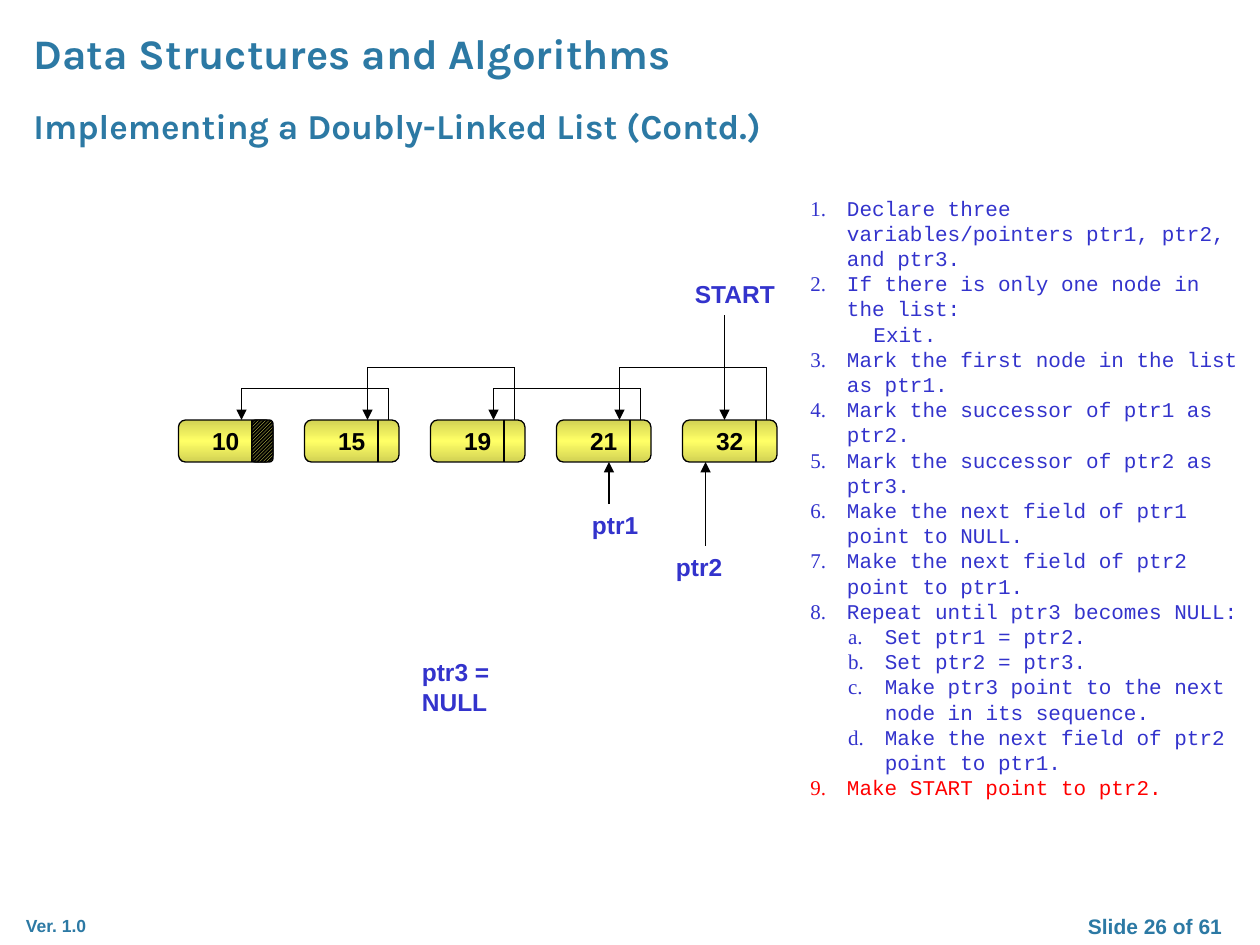
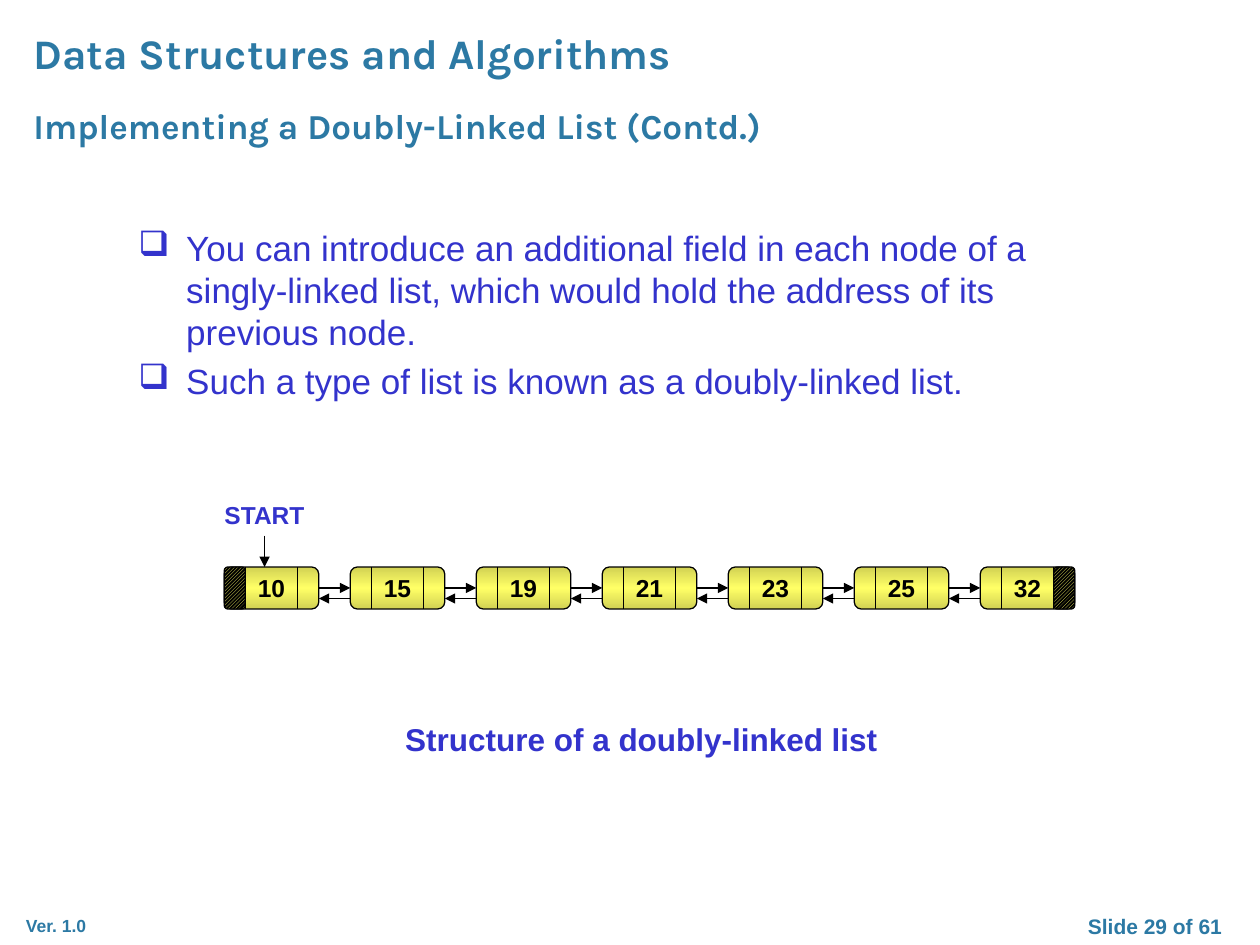
from copy import deepcopy
from dataclasses import dataclass
from itertools import pairwise

from lxml.etree import SubElement
from pptx import Presentation
from pptx.dml.color import RGBColor as RGB
from pptx.enum.dml import MSO_PATTERN as PATTERN
from pptx.enum.shapes import MSO_CONNECTOR as CONN, MSO_SHAPE as SHAPE
from pptx.enum.text import MSO_ANCHOR as ANCHOR, MSO_AUTO_SIZE as AUTO, PP_ALIGN as ALIGN
from pptx.oxml.ns import qn
from pptx.util import Inches, Pt


@dataclass(frozen=True)
class Theme:
    teal: RGB = RGB.from_string("2C79A4")
    blue: RGB = RGB.from_string("3333CC")
    red: RGB = RGB.from_string("FF0000")
    black: RGB = RGB.from_string("000000")
    yellow: RGB = RGB.from_string("FFFF66")
    olive: RGB = RGB.from_string("D2D254")
    head: str = "Karla"
    body: str = "Arial"
    code: str = "Courier New"
    marker: str = "Times New Roman"
    title: int = 24
    subtitle: int = 20
    bullet: int = 20
    caption: int = 18
    label: int = 14
    small: int = 12
    version: int = 10
    line: float = 0.75


T = Theme()
COLS, ROWS = 120, 90
CELL = Inches(10) // COLS
NODE_W, NODE_H, FIELD, PITCH = 9, 4, 2, 12

STEPS = [
    (0, "1.", "Declare three variables/pointers ptr1, ptr2, and ptr3."),
    (0, "2.", "If there is only one node in the list:"),
    (1, "", "Exit."),
    (0, "3.", "Mark the first node in the list as ptr1."),
    (0, "4.", "Mark the successor of ptr1 as ptr2."),
    (0, "5.", "Mark the successor of ptr2 as ptr3."),
    (0, "6.", "Make the next field of ptr1 point to NULL."),
    (0, "7.", "Make the next field of ptr2 point to ptr1."),
    (0, "8.", "Repeat until ptr3 becomes NULL:"),
    (1, "a.", "Set ptr1 = ptr2."),
    (1, "b.", "Set ptr2 = ptr3."),
    (1, "c.", "Make ptr3 point to the next node in its sequence."),
    (1, "d.", "Make the next field of ptr2 point to ptr1."),
    (0, "9.", "Make START point to ptr2."),
]
BULLETS = [
    "You can introduce an additional field in each node of a singly-linked list, "
    "which would hold the address of its previous node.",
    "Such a type of list is known as a doubly-linked list.",
]


def cells(*values):
    return [round(v * CELL) for v in values]


def set_attrs(obj, fmt):
    for key, value in fmt.items():
        setattr(obj, key, value)


def add_run(p, text, size, color, font=T.body, bold=False):
    r = p.add_run()
    r.text = text
    set_attrs(r.font, {"name": font, "size": Pt(size), "bold": bold})
    r.font.color.rgb = color


def text_box(s, x, y, w, h):
    tf = s.shapes.add_textbox(*cells(x, y, w, h)).text_frame
    tf.word_wrap = True
    return tf


def add_text(s, text, x, y, w, h, size=T.label, color=T.blue, font=T.body, align=ALIGN.LEFT):
    p = text_box(s, x, y, w, h).paragraphs[0]
    p.alignment = align
    add_run(p, text, size, color, font, True)


def paragraphs(tf, count):
    return [tf.paragraphs[0]] + [tf.add_paragraph() for _ in range(count - 1)]


def indent(p, left, first):
    pPr = p._p.get_or_add_pPr()
    pPr.set("marL", str(Inches(left)))
    pPr.set("indent", str(Inches(first)))
    return pPr


def add_line(s, x1, y1, x2, y2, arrow=False):
    c = s.shapes.add_connector(CONN.STRAIGHT, *cells(x1, y1, x2, y2))
    c.line.color.rgb = T.black
    c.line.width = Pt(T.line)
    spPr = c._element.spPr
    if arrow:
        SubElement(spPr.find(qn("a:ln")), qn("a:tailEnd"), type="triangle")
    SubElement(spPr, qn("a:effectLst"))
    return c


def add_round_rect(s, x, y, w):
    sp = s.shapes.add_shape(SHAPE.ROUNDED_RECTANGLE, *cells(x, y, w, NODE_H))
    sp.shadow.inherit = False
    sp.line.color.rgb = T.black
    sp.line.width = Pt(T.line)
    return sp


def add_node(s, value, x, y, dividers):
    sp = add_round_rect(s, x, y, NODE_W)
    sp.fill.gradient()
    sp.fill.gradient_angle = 90
    stops = sp._element.spPr.find(qn("a:gradFill")).find(qn("a:gsLst"))
    stops.append(deepcopy(stops[0]))
    for i, color in enumerate((T.olive, T.yellow, T.olive)):
        stop = sp.fill.gradient_stops[i]
        stop.position = i / 2
        stop.color.rgb = color
    tf = sp.text_frame
    set_attrs(tf, {"vertical_anchor": ANCHOR.MIDDLE, "word_wrap": True})
    tf.paragraphs[0].alignment = ALIGN.CENTER
    add_run(tf.paragraphs[0], str(value), T.label, T.black, bold=True)
    for offset in dividers:
        add_line(s, x + offset, y, x + offset, y + NODE_H)
    return sp


def add_null_field(s, x, y):
    fill = add_round_rect(s, x, y, FIELD).fill
    fill.patterned()
    fill.pattern = PATTERN.DARK_UPWARD_DIAGONAL
    fill.fore_color.rgb = T.yellow
    fill.back_color.rgb = T.black


def add_link_over(s, x1, x2, y, top):
    add_line(s, x1, y, x1, top)
    add_line(s, x1, top, x2, top)
    add_line(s, x2, top, x2, y, True)


def add_steps(s):
    tf = text_box(s, 76, 18, 44, 59.4)
    for p, (level, mark, text) in zip(paragraphs(tf, len(STEPS)), STEPS):
        color = T.red if mark == "9." else T.blue
        p.level = level
        if mark:
            indent(p, 0.29 + level * 0.3, -0.29)
            add_run(p, mark, T.small, color, T.marker)
            text = "\t" + text
        else:
            indent(p, 0.5, 0)
        add_run(p, text, T.small, color, T.code)


def add_bullets(s):
    tf = text_box(s, 12, 21, 96, 60)
    for p, text in zip(paragraphs(tf, len(BULLETS)), BULLETS):
        p.space_after = Pt(T.bullet * 0.2)
        SubElement(indent(p, 0.38, -0.38), qn("a:buChar"), char="❑")
        add_run(p, text, T.bullet, T.blue)


def new_slide(prs, number):
    s = prs.slides.add_slide(prs.slide_layouts[5])
    title = s.shapes.title
    set_attrs(title, dict(zip(("left", "top", "width", "height"), cells(2, 2, 100, 13.3))))
    tf = title.text_frame
    set_attrs(tf, {"vertical_anchor": ANCHOR.TOP, "auto_size": AUTO.NONE, "word_wrap": True})
    tf.paragraphs[0].alignment = ALIGN.LEFT
    add_run(tf.paragraphs[0], "Data Structures and Algorithms", T.title, T.teal, T.head, True)
    add_text(s, "Implementing a Doubly-Linked List (Contd.)", 2, 9.36, 100, 5.2,
             T.subtitle, T.teal, T.head)
    add_text(s, "Ver. 1.0", 1.3, 86.6, 12, 3.2, T.version, T.teal)
    add_text(s, f"Slide {number} of 61", 100, 86.4, 20, 3.6, T.small, T.teal, align=ALIGN.CENTER)
    return s


def build_reversal(prs):
    s = new_slide(prs, 26)
    left, top = 17, 40
    bottom = top + NODE_H
    values = (10, 15, 19, 21, 32)
    xs = [left + i * PITCH for i in range(len(values))]
    for x, value in zip(xs, values):
        add_node(s, value, x, top, [NODE_W - FIELD])
    add_null_field(s, left + NODE_W - FIELD, top)
    for i, (before, x) in enumerate(pairwise(xs)):
        add_link_over(s, x + 8, before + 6, top, top - (3, 5)[i % 2])
    for text, x, y, arrow_x, start, end in (
        ("START", 65, 26, 69, 30, top),
        ("ptr1", 55.2, 48, 58, 48, bottom),
        ("ptr2", 63.2, 52, 67.2, 52, bottom),
    ):
        add_text(s, text, x, y, 12, NODE_H)
        add_line(s, arrow_x, start, arrow_x, end, True)
    add_text(s, "ptr3 = NULL", 39, 62, 13, 7)
    add_steps(s)


def build_structure(prs):
    s = new_slide(prs, 29)
    add_bullets(s)
    left, top = 21.36, 54
    values = (10, 15, 19, 21, 23, 25, 32)
    xs = [left + i * PITCH for i in range(len(values))]
    nodes = [add_node(s, v, x, top, [FIELD, NODE_W - FIELD]) for x, v in zip(xs, values)]
    for (a, b), (x, following) in zip(pairwise(nodes), pairwise(xs)):
        c = add_line(s, x + NODE_W, top + 2, following, top + 2, True)
        c.begin_connect(a, 3)
        c.end_connect(b, 1)
        add_line(s, following, top + 3, x + NODE_W, top + 3, True)
    add_null_field(s, left, top)
    add_null_field(s, xs[-1] + NODE_W - FIELD, top)
    add_text(s, "START", 20.2, 47, 12, NODE_H)
    add_line(s, 25.2, 51, 25.2, top, True)
    add_text(s, "Structure of a doubly-linked list", 30.6, 68, 61, 4.8, T.caption, align=ALIGN.CENTER)


def main():
    prs = Presentation()
    prs.slide_width, prs.slide_height = COLS * CELL, ROWS * CELL
    build_reversal(prs)
    build_structure(prs)
    prs.save("out.pptx")


if __name__ == "__main__":
    main()
